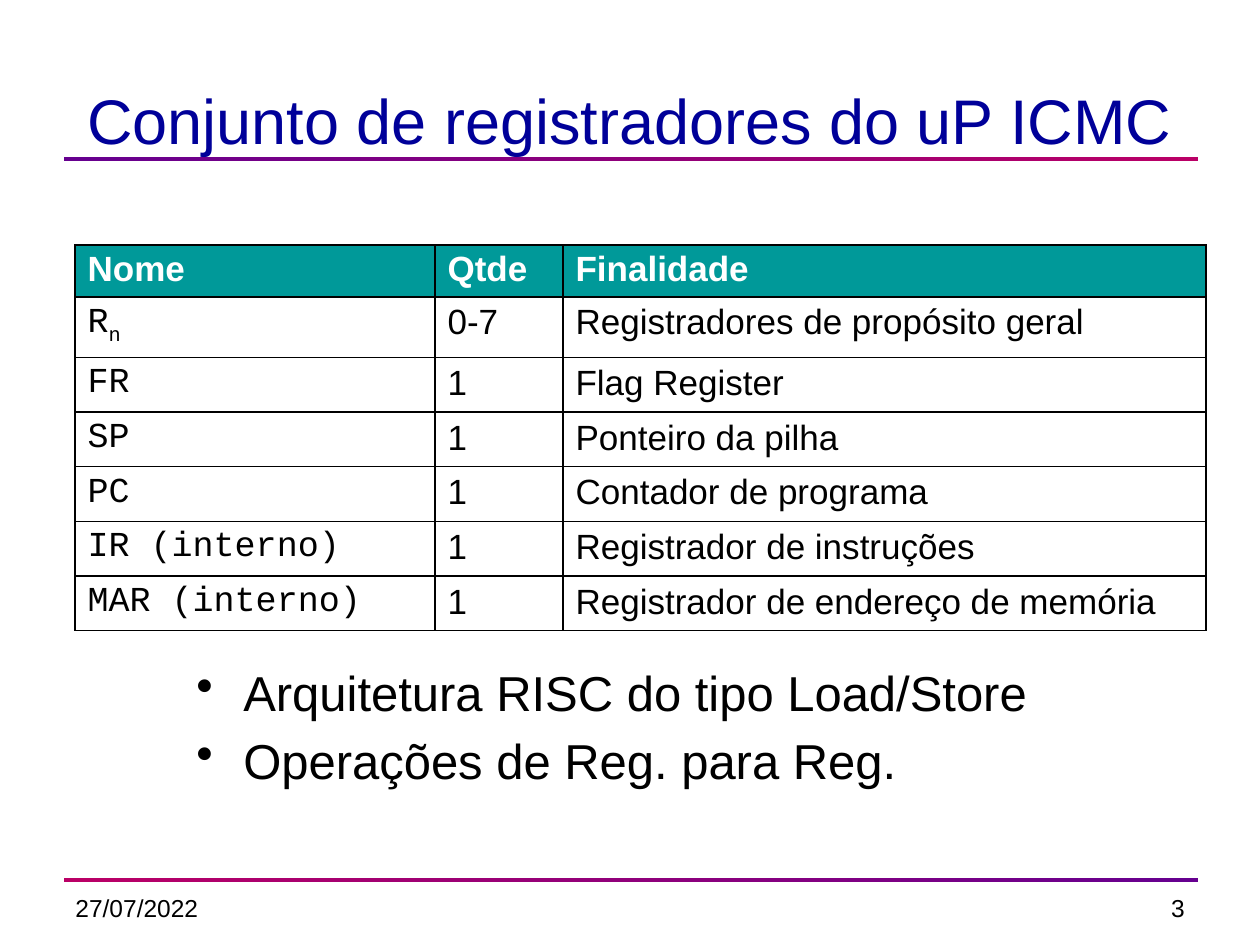
from lxml import etree
from pptx import Presentation
from pptx import util as u
from pptx.dml.color import RGBColor
from pptx.enum import shapes, text
from pptx.oxml.ns import qn

PX = 914400 / 126
BLACK = RGBColor(0, 0, 0)
WHITE = RGBColor(255, 255, 255)
NAVY = RGBColor(0, 0, 0x99)
TEAL = RGBColor(0, 0x99, 0x99)
PURPLE = RGBColor(0x66, 0, 0x8F)
CRIMSON = RGBColor(0xBA, 0, 0x66)

COLS = [360, 128, 643]
HEAD, TALL, ROW = 51, 59, 53
REGS = [
    ("Nome", "Qtde", "Finalidade"),
    ("R", "0-7", "Registradores de propósito geral"),
    ("FR", "1", "Flag Register"),
    ("SP", "1", "Ponteiro da pilha"),
    ("PC", "1", "Contador de programa"),
    ("IR (interno)", "1", "Registrador de instruções"),
    ("MAR (interno)", "1", "Registrador de endereço de memória"),
]
POINTS = ["Arquitetura RISC do tipo Load/Store", "Operações de Reg. para Reg."]


def px(n):
    return u.Emu(round(n * PX))


def style(run, size, color=BLACK, face="Arial", bold=False):
    font = run.font
    font.name, font.size, font.bold = face, u.Pt(size), bold
    font.color.rgb = color


def add_rule(slide, top, start, end):
    """Thin horizontal bar with a left-to-right gradient."""
    bar = slide.shapes.add_shape(
        shapes.MSO_SHAPE.RECTANGLE, px(64), px(top), px(1134), px(4))
    bar.shadow.inherit = False
    bar.line.fill.background()
    bar.fill.gradient()
    bar.fill.gradient_angle = 0
    for stop, color in zip(bar.fill.gradient_stops, (start, end)):
        stop.color.rgb = color


def add_text(slide, box, lines, size, color=BLACK, align=text.PP_ALIGN.LEFT):
    shape = slide.shapes.add_textbox(*map(px, box))
    frame = shape.text_frame
    frame.word_wrap = True
    frame.text = "\n".join(lines)
    for par in frame.paragraphs:
        par.alignment = align
        style(par.runs[0], size, color)
    return frame


def add_bullets(slide, box, lines):
    frame = add_text(slide, box, lines, 28)
    frame.margin_top = px(11)
    for i, par in enumerate(frame.paragraphs):
        props = par._p.get_or_add_pPr()
        props.set("marL", str(px(47)))
        props.set("indent", str(-px(47)))
        etree.SubElement(props, qn("a:buChar")).set("char", "•")
        if i:
            par.space_before = u.Pt(5.6)


def add_border(cell):
    props = cell._tc.get_or_add_tcPr()
    for i, side in enumerate("LRTB"):
        line = etree.Element(qn("a:ln" + side), w=str(u.Pt(0.96)))
        fill = etree.SubElement(line, qn("a:solidFill"))
        etree.SubElement(fill, qn("a:srgbClr")).set("val", str(BLACK))
        props.insert(i, line)


def fill_cell(cell, words, head, mono):
    cell.text_frame.text = words
    run = cell.text_frame.paragraphs[0].runs[0]
    if head:
        cell.fill.solid()
        cell.fill.fore_color.rgb = TEAL
        cell.margin_top = cell.margin_bottom = px(5)
        style(run, 20, WHITE, bold=True)
    else:
        cell.fill.background()
        style(run, 20, face="Courier New" if mono else "Arial")
    add_border(cell)


def add_regs(slide):
    highs = [HEAD, TALL] + [ROW] * (len(REGS) - 2)
    table = slide.shapes.add_table(
        len(REGS), len(COLS), px(75), px(245), px(sum(COLS)), px(sum(highs))).table
    for col, width in zip(table.columns, COLS):
        col.width = px(width)
    for r, (row, high) in enumerate(zip(REGS, highs)):
        table.rows[r].height = px(high)
        for c, words in enumerate(row):
            fill_cell(table.cell(r, c), words, r == 0, c == 0)
    sub = table.cell(1, 0).text_frame.paragraphs[0].add_run()
    sub.text = "n"
    style(sub, 20, face="Courier New")
    sub.font._element.set("baseline", "-25000")


def main():
    deck = Presentation()
    deck.slide_width, deck.slide_height = px(1260), px(945)
    slide = deck.slides.add_slide(deck.slide_layouts[6])
    add_rule(slide, 157, PURPLE, CRIMSON)
    add_rule(slide, 878, CRIMSON, PURPLE)
    add_text(slide, (63, 887, 294, 66), ["27/07/2022"], 14)
    add_text(slide, (903, 887, 294, 66), ["3"], 14, align=text.PP_ALIGN.RIGHT)
    title = add_text(slide, (64, 63, 1131, 100),
                     ["Conjunto de registradores do uP ICMC"], 36, NAVY,
                     text.PP_ALIGN.CENTER)
    title.vertical_anchor = text.MSO_ANCHOR.BOTTOM
    add_regs(slide)
    add_bullets(slide, (184, 651, 882, 205), POINTS)
    deck.save("out.pptx")


if __name__ == "__main__":
    main()
